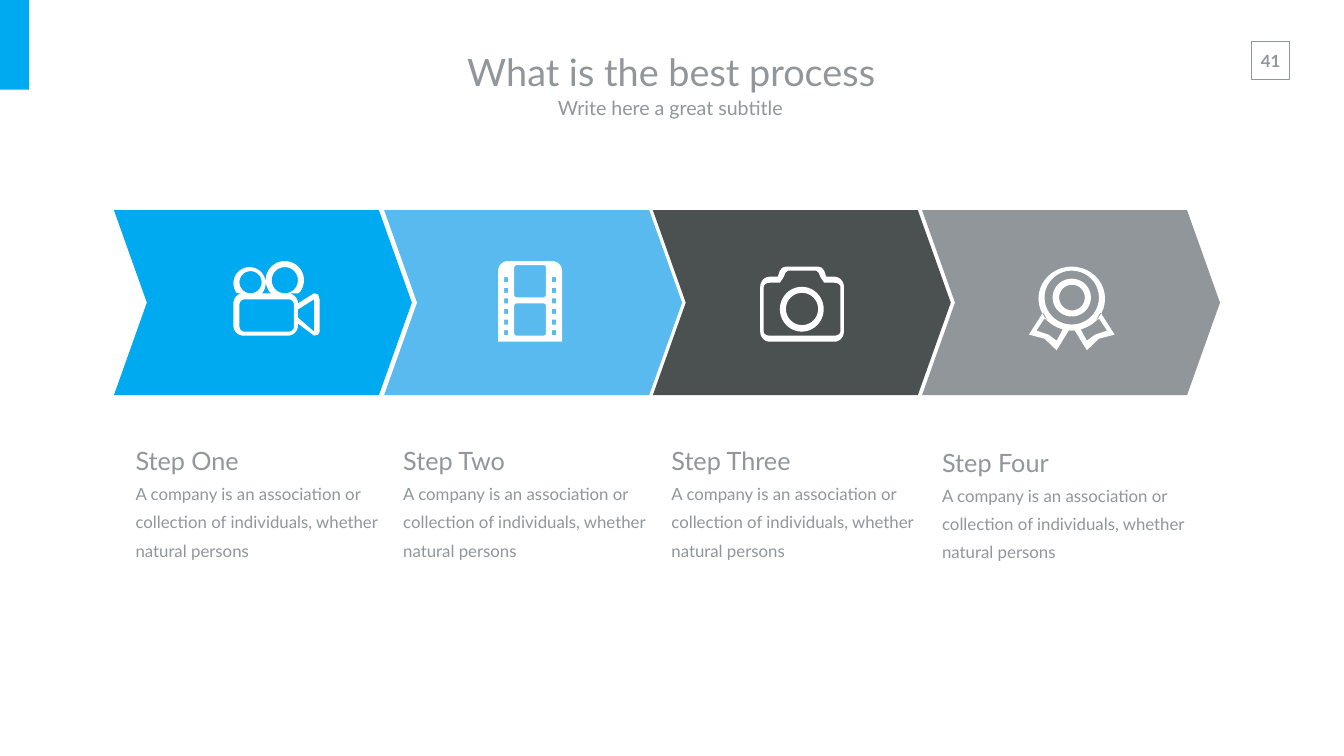
from dataclasses import dataclass
from math import cos, pi, sin

from pptx import Presentation
from pptx.dml.color import RGBColor
from pptx.enum.shapes import MSO_SHAPE
from pptx.enum.text import MSO_ANCHOR, MSO_AUTO_SIZE, PP_ALIGN
from pptx.slide import Slide
from pptx.util import Inches, Pt

BLUE, SKY, DARK, GREY, WHITE = "00AAF0", "59BAF0", "4B5050", "91969B", "FFFFFF"


def colour(value):
    """Turn a hex string into a colour."""
    return RGBColor.from_string(value)


def arc(centre_x, centre_y, radius_x, radius_y, start=0, sweep=2 * pi, count=40):
    """List points along an elliptical arc."""
    angles = [start + sweep * step / count for step in range(count + 1)]
    return [(centre_x + radius_x * cos(a), centre_y + radius_y * sin(a)) for a in angles]


def oval(left, top, right, bottom, floor=15):
    """Outline an ellipse, cut flat below the floor."""
    points = arc((left + right) / 2, (top + bottom) / 2, (right - left) / 2, (bottom - top) / 2)
    return [(x, min(y, floor)) for x, y in points]


def rounded(left, top, right, bottom, radius):
    """Outline a rectangle with rounded corners."""
    corners = [(right - radius, bottom - radius), (left + radius, bottom - radius),
               (left + radius, top + radius), (right - radius, top + radius)]
    return [point for index, (x, y) in enumerate(corners)
            for point in arc(x, y, radius, radius, index * pi / 2, pi / 2, 8)]


def rectangle(left, top, right, bottom):
    """Outline a plain rectangle."""
    return [(left, top), (right, top), (right, bottom), (left, bottom)]


def mirrored(points, axis):
    """Reflect points across a vertical axis, in reverse order."""
    return [(2 * axis - x, y) for x, y in reversed(points)]


def symmetric(points, axis):
    """Complete a left half outline with its reflection."""
    return points + mirrored(points, axis)


def video_camera():
    """Outline the video camera icon."""
    return [
        oval(4.63, 5.3, 5.27, 5.94, 5.82), oval(4.75, 5.38, 5.19, 5.82),
        oval(5.27, 5.18, 6.03, 5.94, 5.82), oval(5.39, 5.3, 5.91, 5.82),
        rounded(4.63, 5.82, 5.91, 6.66, 0.2), rounded(4.75, 5.94, 5.83, 6.58, 0.1),
        [(5.91, 6.02), (6.23, 5.82), (6.31, 5.84), (6.34, 5.94),
         (6.34, 6.58), (6.31, 6.64), (6.23, 6.66), (5.91, 6.42)],
        [(5.91, 6.14), (6.23, 5.94), (6.23, 6.58), (5.91, 6.3)],
    ]


def film_strip():
    """Outline the film strip icon."""
    holes = [rectangle(left, 5.5 + 0.21 * row, left + 0.08, 5.6 + 0.21 * row)
             for left in (10, 10.95) for row in range(6)]
    frames = [rounded(10.2, top, 10.83, top + 0.64, 0.05) for top in (5.26, 6.02)]
    half = [(9.88, 6.78)] + arc(10.08, 5.38, 0.2, 0.2, pi, pi / 2, 8)
    return [symmetric(half, 10.515)] + frames + holes


def photo_camera():
    """Outline the photo camera icon."""
    body = (arc(15.27, 6.58, 0.19, 0.2, pi / 2, pi / 2, 8) + arc(15.27, 5.69, 0.19, 0.2, pi, pi / 2, 8)
            + [(15.43, 5.49), (15.47, 5.37), (15.52, 5.31), (15.59, 5.29)])
    inside = (arc(15.27, 6.58, 0.12, 0.08, pi / 2, pi / 2, 8) + arc(15.27, 5.69, 0.12, 0.08, pi, pi / 2, 8)
              + [(15.47, 5.61), (15.55, 5.49), (15.58, 5.41), (15.63, 5.37)])
    return [symmetric(body, 15.91), symmetric(inside, 15.91),
            oval(15.47, 5.69, 16.34, 6.58), oval(15.59, 5.81, 16.23, 6.45)]


def medal():
    """Outline the medal icon."""
    ribbon = [(20.69, 6.2), (20.41, 6.64), (20.72, 6.72), (20.96, 6.95),
              (21.2, 6.56), (20.98, 6.5), (20.8, 6.38)]
    inside = [(20.72, 6.32), (20.56, 6.56), (20.8, 6.64), (20.96, 6.76), (21.08, 6.54), (20.88, 6.45)]
    rings = [oval(20.6, 5.29, 21.92, 6.56), oval(20.72, 5.37, 21.8, 6.44),
             oval(20.88, 5.53, 21.64, 6.28), oval(21.01, 5.65, 21.52, 6.16)]
    return rings + [ribbon, inside, mirrored(ribbon, 21.26), mirrored(inside, 21.26)]


@dataclass
class Painter:
    """Hold the style and the current slide."""
    page: Slide
    font: str = "Lato"
    ink: str = GREY

    def finish(self, shape, fill=None, line=None):
        """Set the fill and line of a shape."""
        shape.shadow.inherit = False
        if fill:
            shape.fill.solid()
            shape.fill.fore_color.rgb = colour(fill)
        else:
            shape.fill.background()
        if line:
            shape.line.color.rgb = colour(line)
            shape.line.width = Pt(1)
        else:
            shape.line.fill.background()

    def block(self, kind, place, fill=None, line=None, adjust=None):
        """Draw a preset shape."""
        shape = self.page.shapes.add_shape(kind, *map(Inches, place))
        if adjust:
            shape.adjustments[0] = adjust
        self.finish(shape, fill, line)

    def icon(self, outlines):
        """Draw closed outlines as one white shape."""
        contours = [[(Inches(x), Inches(y)) for x, y in outline] for outline in outlines]
        builder = self.page.shapes.build_freeform(*contours[0][0], scale=1.0)
        builder.add_line_segments(contours[0][1:], close=True)
        for contour in contours[1:]:
            builder.move_to(*contour[0])
            builder.add_line_segments(contour[1:], close=True)
        self.finish(builder.convert_to_shape(), WHITE)

    def text(self, place, lines, inset=(0.1, 0.05), align=PP_ALIGN.LEFT,
             anchor=MSO_ANCHOR.TOP, spacing=1.0, bold=False, wrap=True):
        """Write lines of (words, size) in a text box."""
        frame = self.page.shapes.add_textbox(*map(Inches, place)).text_frame
        frame.word_wrap = wrap
        frame.auto_size = MSO_AUTO_SIZE.SHAPE_TO_FIT_TEXT
        frame.vertical_anchor = anchor
        frame.margin_left = frame.margin_right = Inches(inset[0])
        frame.margin_top = frame.margin_bottom = Inches(inset[1])
        for index, (words, size) in enumerate(lines):
            para = frame.add_paragraph() if index else frame.paragraphs[0]
            para.alignment = align
            para.line_spacing = spacing
            span = para.add_run()
            span.text = words
            span.font.name = self.font
            span.font.size = Pt(size)
            span.font.bold = bold
            span.font.color.rgb = colour(self.ink)


deck = Presentation()
deck.slide_width, deck.slide_height = Inches(26.66), Inches(15)
painter = Painter(deck.slides.add_slide(deck.slide_layouts[6]))

painter.text((24.8, 0.9, 0.81, 0.61), [("41", 24)], (0.2, 0.1), PP_ALIGN.CENTER, bold=True, wrap=False)
painter.block(MSO_SHAPE.RECTANGLE, (24.83, 0.82, 0.75, 0.75), line=GREY)
painter.block(MSO_SHAPE.RECTANGLE, (0, 0, 0.58, 1.78), BLUE)
for place, words, size in [((8.15, 0.83, 10.33, 1.18), "What is the best process", 54),
                           ((8.18, 1.76, 10.33, 0.74), "Write here a great subtitle ", 28)]:
    painter.text(place, [(words, size)], (0.27, 0.13), PP_ALIGN.CENTER, MSO_ANCHOR.MIDDLE)

DETAIL = "A company is an association or collection of individuals, whether natural persons"
STEPS = [
    ("Step One", 2.59, 8.55, 2.26, BLUE, video_camera),
    ("Step Two", 7.9, 8.55, 7.62, SKY, film_strip),
    ("Step Three", 13.22, 8.55, 12.95, DARK, photo_camera),
    ("Step Four", 18.59, 8.58, 18.29, GREY, medal),
]
for name, left, top, arrow_left, fill, outline in STEPS:
    painter.text((left, top, 5.34, 2.62), [(name, 36), (DETAIL, 24)], spacing=1.4)
    painter.block(MSO_SHAPE.CHEVRON, (arrow_left, 4.17, 5.91, 3.67), fill, adjust=0.178)
    painter.icon(outline())

deck.save("out.pptx")
